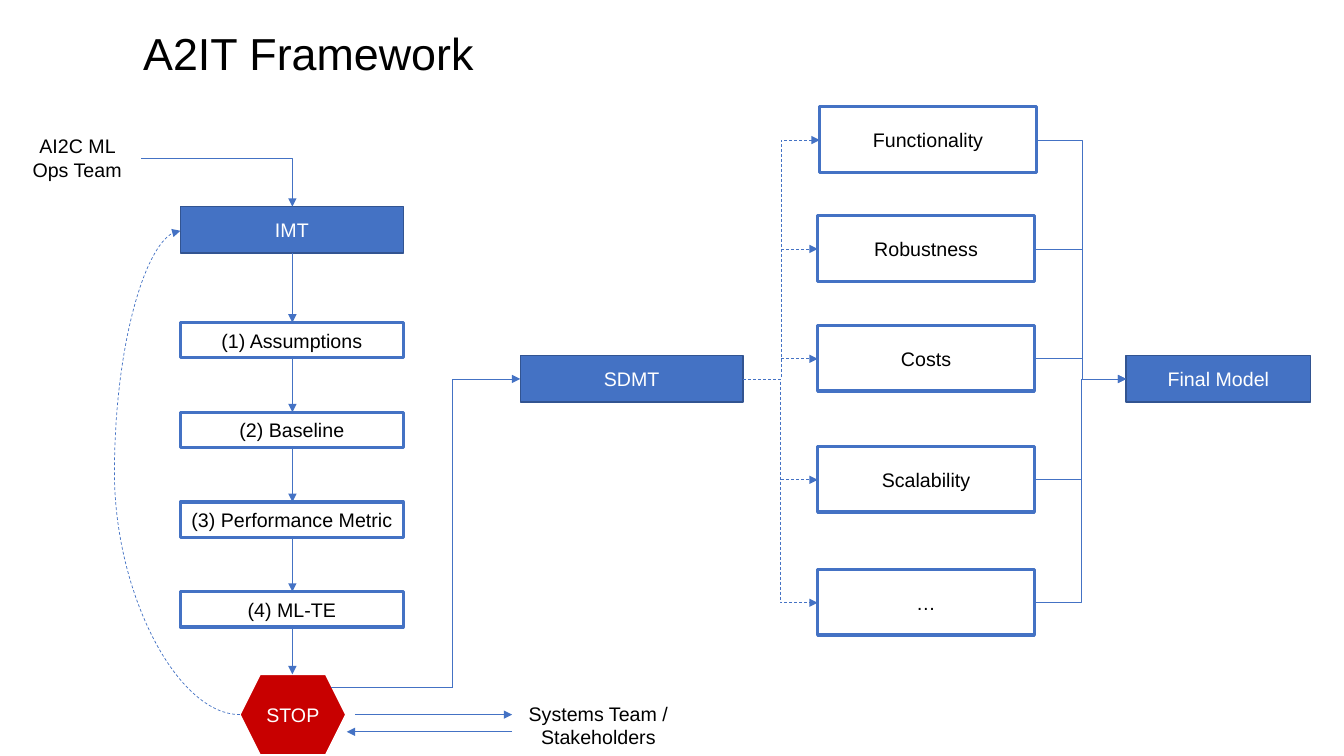
import dataclasses

import lxml.etree
import pptx
import pptx.dml.color
import pptx.enum.dml
import pptx.enum.shapes
import pptx.enum.text
import pptx.oxml.ns
import pptx.util

Inches = pptx.util.Inches
Pt = pptx.util.Pt
Shape = pptx.enum.shapes.MSO_SHAPE
Route = pptx.enum.shapes.MSO_CONNECTOR
Align = pptx.enum.text.PP_ALIGN
Anchor = pptx.enum.text.MSO_ANCHOR
qn = pptx.oxml.ns.qn


@dataclasses.dataclass(frozen=True)
class Theme:
    font: str = "Arial"
    title_size: float = 32
    body_size: float = 14
    thin: float = 0.5
    edge: float = 1
    frame: float = 2.25
    black: str = "000000"
    white: str = "FFFFFF"
    blue: str = "4472C4"
    navy: str = "325491"
    red: str = "C80000"


def rgb(color):
    return pptx.dml.color.RGBColor.from_string(color)


class Diagram:
    def __init__(self, slide, theme):
        self.slide = slide
        self.theme = theme

    def set_text(self, shape, text, size, color, align, anchor):
        frame = shape.text_frame
        frame.text = text
        frame.word_wrap = True
        frame.auto_size = pptx.enum.text.MSO_AUTO_SIZE.NONE
        frame.vertical_anchor = anchor
        paragraph = frame.paragraphs[0]
        paragraph.alignment = align
        font = paragraph.runs[0].font
        font.name = self.theme.font
        font.size = Pt(size)
        font.color.rgb = rgb(color)

    def title(self, text, left, top, width, height):
        heading = self.slide.shapes.title
        heading.left, heading.top = Inches(left), Inches(top)
        heading.width, heading.height = Inches(width), Inches(height)
        self.set_text(heading, text, self.theme.title_size, self.theme.black,
                      Align.LEFT, Anchor.TOP)

    def label(self, text, left, top, width, height):
        label = self.slide.shapes.add_textbox(
            Inches(left), Inches(top), Inches(width), Inches(height))
        self.set_text(label, text, self.theme.body_size, self.theme.black,
                      Align.CENTER, Anchor.TOP)

    def node(self, text, left, top, width, height, fill, edge, weight,
             color, outline=Shape.RECTANGLE):
        node = self.slide.shapes.add_shape(
            outline, Inches(left), Inches(top), Inches(width), Inches(height))
        node.shadow.inherit = False
        if fill:
            node.fill.solid()
            node.fill.fore_color.rgb = rgb(fill)
        else:
            node.fill.background()
        node.line.color.rgb = rgb(edge)
        node.line.width = Pt(weight)
        self.set_text(node, text, self.theme.body_size, color,
                      Align.CENTER, Anchor.MIDDLE)

    def stage(self, text, left, top, width):
        theme = self.theme
        self.node(text, left, top, width, 0.46, theme.blue, theme.navy,
                  theme.edge, theme.white)

    def framed(self, text, left, top, width, height):
        theme = self.theme
        self.node(text, left, top, width, height, None, theme.blue,
                  theme.frame, theme.black)

    def link(self, start, end, route=Route.STRAIGHT, arrow=True,
             dashed=False, bend=None, preset=None):
        link = self.slide.shapes.add_connector(
            route, *(Inches(value) for value in (*start, *end)))
        link.line.color.rgb = rgb(self.theme.blue)
        link.line.width = Pt(self.theme.thin)
        if dashed:
            link.line.dash_style = pptx.enum.dml.MSO_LINE.DASH
        properties = link.element.spPr
        if arrow:
            tail = lxml.etree.SubElement(properties.find(qn("a:ln")), qn("a:tailEnd"))
            tail.set("type", "triangle")
        lxml.etree.SubElement(properties, qn("a:effectLst"))
        geometry = properties.find(qn("a:prstGeom"))
        if preset:
            geometry.set("prst", preset)
        if bend is not None:
            guide = lxml.etree.SubElement(geometry.find(qn("a:avLst")), qn("a:gd"))
            guide.set("name", "adj1")
            guide.set("fmla", f"val {round(bend * 100000)}")


def main():
    deck = pptx.Presentation()
    deck.slide_width, deck.slide_height = Inches(13.33), Inches(7.5)
    theme = Theme()
    diagram = Diagram(deck.slides.add_slide(deck.slide_layouts[5]), theme)

    diagram.title("A2IT Framework", 1.32, 0.21, 8.82, 0.64)
    diagram.label("AI2C ML Ops Team", 0.12, 1.28, 1.29, 0.57)
    diagram.label("Systems Team / Stakeholders", 5.1, 6.91, 1.67, 0.57)

    flow_left, flow_width, flow_center = 1.79, 2.21, 2.9
    imt_top, stop_top, step_height = 2.05, 6.69, 0.35
    diagram.stage("IMT", flow_left, imt_top, flow_width)
    diagram.stage("SDMT", 5.16, 3.53, flow_width)
    diagram.stage("Final Model", 11.17, 3.53, 1.83)
    diagram.node("STOP", 2.38, stop_top, 1.05, 0.8, theme.red, theme.white,
                 theme.edge, theme.white, Shape.HEXAGON)

    steps = ["(1) Assumptions", "(2) Baseline", "(3) Performance Metric", "(4) ML-TE"]
    previous_bottom = imt_top + 0.46
    for index, step in enumerate(steps):
        top = 3.2 + 0.89 * index
        diagram.framed(step, flow_left, top, flow_width, step_height)
        diagram.link((flow_center, previous_bottom), (flow_center, top))
        previous_bottom = top + step_height
    diagram.link((flow_center, previous_bottom), (flow_center, stop_top))

    diagram.link((1.4, 1.57), (flow_center, imt_top), Route.ELBOW,
                 preset="bentConnector2")
    diagram.link((2.38, 7.09), (flow_left, 2.29), Route.CURVE, dashed=True, bend=2.11)
    diagram.link((3.52, 7.09), (5.08, 7.09))
    diagram.link((5.08, 7.26), (3.44, 7.26))
    diagram.link((3.28, 6.82), (4.49, 6.82), arrow=False)
    diagram.link((4.49, 6.82), (5.16, 3.76), Route.ELBOW, bend=0)

    sdmt_exit, model_entry = (7.37, 3.76), (11.17, 3.76)
    split, merge = 7.75, 10.73
    aspects = [("Functionality", 8.13, 1.06), ("Robustness", 8.11, 2.14),
               ("Costs", 8.11, 3.23), ("Scalability", 8.11, 4.43), ("…", 8.11, 5.65)]
    for aspect, left, top in aspects:
        right, middle = left + 2.15, top + 0.33
        diagram.framed(aspect, left, top, 2.15, 0.65)
        if aspect in ("Functionality", "…"):
            diagram.link(sdmt_exit, (left, middle), Route.ELBOW, dashed=True)
            diagram.link((right, middle), model_entry, Route.ELBOW,
                         bend=(merge - right) / (model_entry[0] - right))
        else:
            diagram.link((split, middle), (left, middle), dashed=True)
            diagram.link((right, middle), (merge, middle), arrow=False)

    deck.save("out.pptx")


if __name__ == "__main__":
    main()
